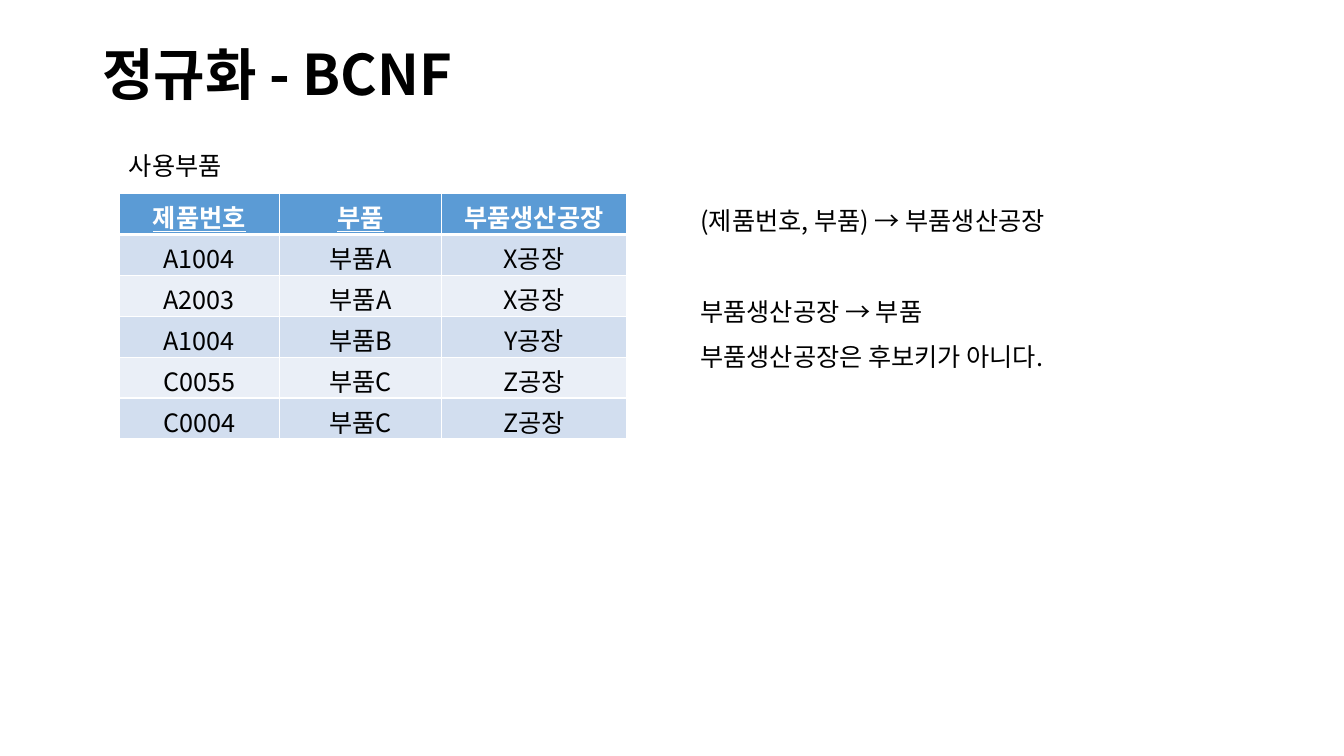
"""Build the BCNF normalisation slide."""
from lxml import etree
from pptx import Presentation
from pptx.dml.color import RGBColor
from pptx.enum import text
from pptx.oxml import ns
from pptx.util import Cm, Pt

FONT = "Noto Sans CJK KR"
BLACK = RGBColor(0x00, 0x00, 0x00)
WHITE = RGBColor(0xFF, 0xFF, 0xFF)
HEADER_BLUE = RGBColor(0x5B, 0x9B, 0xD5)
BANDS = (RGBColor(0xEA, 0xEF, 0xF7), RGBColor(0xD2, 0xDE, 0xEF))

PARTS_USED = (
    ("제품번호", "부품", "부품생산공장"),
    ("A1004", "부품A", "X공장"),
    ("A2003", "부품A", "X공장"),
    ("A1004", "부품B", "Y공장"),
    ("C0055", "부품C", "Z공장"),
    ("C0004", "부품C", "Z공장"),
)
KEY_COLUMNS = ("제품번호", "부품")
COLUMN_WIDTHS = (4.04, 4.09, 4.65)
ROW_HEIGHT = 1.03
DEPENDENCIES = (
    ("(제품번호, 부품) → 부품생산공장", 0),
    ("부품생산공장 → 부품", 32.5),
    ("부품생산공장은 후보키가 아니다.", 0),
)


def write(paragraph, words, color=BLACK, paragraph_format=None, **font_format):
    """Add one formatted run to a paragraph."""
    run = paragraph.add_run()
    run.text = words
    run.font.color.rgb = color
    for name, value in {"name": FONT, "size": Pt(18), **font_format}.items():
        setattr(run.font, name, value)
    east_asian = etree.SubElement(run.font._element, ns.qn("a:ea"))
    east_asian.set("typeface", FONT)
    for name, value in (paragraph_format or {}).items():
        setattr(paragraph, name, value)


def add_frame(slide, left, top, width, height, **frame_format):
    """Add a wrapping text box and return its text frame."""
    box = slide.shapes.add_textbox(Cm(left), Cm(top), Cm(width), Cm(height))
    for name, value in {"word_wrap": True, **frame_format}.items():
        setattr(box.text_frame, name, value)
    return box.text_frame


def add_border(cell, side, points):
    """Draw a white border on one side of a cell."""
    properties = cell._tc.get_or_add_tcPr()
    line = etree.SubElement(properties, ns.qn(f"a:ln{side}"), w=str(Pt(points)))
    fill = etree.SubElement(line, ns.qn("a:solidFill"))
    etree.SubElement(fill, ns.qn("a:srgbClr"), val=str(WHITE))


def add_parts_table(slide, left, top):
    """Add the banded table of products, parts and factories."""
    table = slide.shapes.add_table(
        len(PARTS_USED), len(COLUMN_WIDTHS), Cm(left), Cm(top),
        Cm(sum(COLUMN_WIDTHS)), Cm(ROW_HEIGHT * len(PARTS_USED))).table
    for column, width in zip(table.columns, COLUMN_WIDTHS):
        column.width = Cm(width)
    for r, record in enumerate(PARTS_USED):
        header = r == 0
        for c, value in enumerate(record):
            cell = table.cell(r, c)
            for side in "LRTB":
                thick = (header and side == "B") or (r == 1 and side == "T")
                add_border(cell, side, 3 if thick else 1)
            cell.fill.solid()
            cell.fill.fore_color.rgb = HEADER_BLUE if header else BANDS[r % 2]
            write(cell.text_frame.paragraphs[0], value,
                  WHITE if header else BLACK,
                  {"alignment": text.PP_ALIGN.CENTER},
                  bold=header, underline=header and value in KEY_COLUMNS)


def add_dependencies(slide, left, top, width, height):
    """Add the list of functional dependencies."""
    frame = add_frame(slide, left, top, width, height)
    for i, (statement, gap) in enumerate(DEPENDENCIES):
        paragraph = frame.add_paragraph() if i else frame.paragraphs[0]
        write(paragraph, statement, paragraph_format={
            "line_spacing": 1.5, "space_before": Pt(gap)})


def main():
    """Assemble and save the slide."""
    deck = Presentation()
    deck.slide_width, deck.slide_height = Cm(33.87), Cm(19.05)
    slide = deck.slides.add_slide(deck.slide_layouts[6])

    title = add_frame(slide, 2.33, 1.02, 29.21, 1.85,
                      vertical_anchor=text.MSO_ANCHOR.MIDDLE)
    write(title.paragraphs[0], "정규화 - BCNF",
          paragraph_format={"line_spacing": 0.9}, size=Pt(40), bold=True)
    add_parts_table(slide, 3, 4.88)
    caption = add_frame(slide, 3, 3.66, 3.2, 1.02)
    write(caption.paragraphs[0], "사용부품")
    add_dependencies(slide, 17.4, 4.67, 11.63, 5.64)
    deck.save("out.pptx")


if __name__ == "__main__":
    main()
